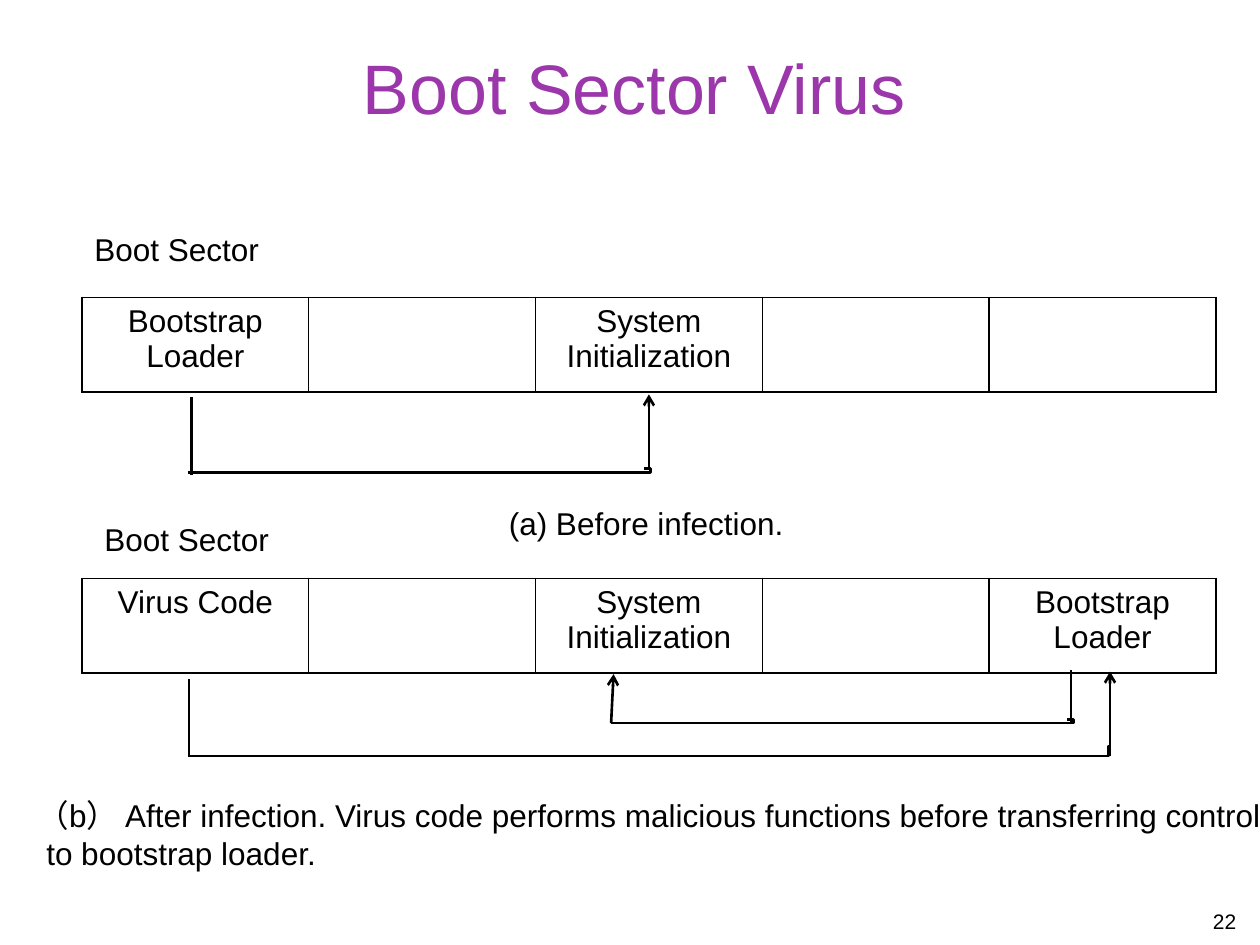
"""Build the Boot Sector Virus slide."""
from dataclasses import dataclass

from pptx import Presentation
from pptx.dml.color import RGBColor
from pptx.enum.shapes import MSO_CONNECTOR as Conn
from pptx.enum.text import MSO_ANCHOR as Anchor, PP_ALIGN as Align
from pptx.oxml import parse_xml
from pptx.oxml.ns import nsdecls, qn
from pptx.util import Inches, Pt

COLORS = {"title": "9B37AA", "ink": "000000"}
FONT = "Arial"
GRID_COLS, GRID_ROWS = 100, 75
SLIDE_W, SLIDE_H = Inches(10), Inches(7.5)


@dataclass
class Label:
    """A text box placed on the slide grid."""
    text: str
    col: float
    row: float
    width: float
    height: float = 4
    size: int = 18
    color: str = "ink"
    align: Align = Align.LEFT
    anchor: Anchor = Anchor.TOP
    wrap: bool = True


@dataclass
class SectorRow:
    """A row of disk sectors."""
    row: float
    cells: tuple[str, ...]


@dataclass
class Link:
    """A connector; bend is the elbow position as a share of its width."""
    col1: float
    row1: float
    col2: float
    row2: float
    bend: float | None = None
    arrow: bool = False


LABELS = [
    Label("Boot Sector Virus", 3.5, 2.1, 93.7, 9.5, size=40, color="title",
          align=Align.CENTER, anchor=Anchor.MIDDLE),
    Label("22", 75.8, 71.6, 23.3, 2.7, size=12, align=Align.RIGHT),
    Label("Boot Sector", 6.5, 17.8, 15.2, wrap=False),
    Label("Boot Sector", 7.3, 40.8, 15.2, wrap=False),
    Label("(a) Before infection.", 39.4, 39.5, 24, wrap=False),
    Label("（b） After infection. Virus code performs malicious functions "
          "before transferring control\n to bootstrap loader.",
          2, 62.7, 100, 7.1),
]
SECTOR_ROWS = [
    SectorRow(23.6, ("Bootstrap Loader", "", "System Initialization", "", "")),
    SectorRow(45.9, ("Virus Code", "", "System Initialization", "", "Bootstrap Loader")),
]
LINKS = [
    Link(14.9, 60, 88.1, 59.2, bend=0.998),
    Link(15, 53.9, 15, 60),
    Link(88.1, 60, 88.1, 53.3, arrow=True),
    Link(14.9, 37.5, 51.1, 37.2, bend=1.014),
    Link(15.2, 31.5, 15.2, 37.7),
    Link(51.5, 37.1, 51.5, 31.3, arrow=True),
    Link(48.5, 57.4, 84.7, 57.1, bend=1.014),
    Link(48.5, 57.4, 48.7, 53.5, arrow=True),
    Link(85, 53.2, 85, 57.4),
]


def x(cols: float) -> int:
    """Turn grid columns into a length."""
    return round(SLIDE_W * cols / GRID_COLS)


def y(rows: float) -> int:
    """Turn grid rows into a length."""
    return round(SLIDE_H * rows / GRID_ROWS)


def write(tf, text: str, *, size: int = 18, color: str = "ink",
          align: Align = Align.LEFT) -> None:
    """Write text into a frame, one paragraph a line."""
    for i, line in enumerate(text.split("\n")):
        p = tf.add_paragraph() if i else tf.paragraphs[0]
        p.alignment = align
        r = p.add_run()
        r.text = line
        r.font.name, r.font.size, r.font.bold = FONT, Pt(size), False
        r.font.color.rgb = RGBColor.from_string(COLORS[color])


def add_label(s, label: Label) -> None:
    """Draw a text box."""
    sp = s.shapes.add_textbox(x(label.col), y(label.row), x(label.width), y(label.height))
    tf = sp.text_frame
    tf.word_wrap = label.wrap
    tf.vertical_anchor = label.anchor
    write(tf, label.text, size=label.size, color=label.color, align=label.align)


def add_sectors(s, sectors: SectorRow) -> None:
    """Draw a one-row table with thin borders."""
    count = len(sectors.cells)
    table = s.shapes.add_table(1, count, x(6.5), y(sectors.row), x(90), y(7.5)).table
    table.first_row = table.horz_banding = False
    for cell, text in zip(table.iter_cells(), sectors.cells):
        if text:
            write(cell.text_frame, text, align=Align.CENTER)
        props = cell._tc.get_or_add_tcPr()
        for side in "LRTB":
            props.append(parse_xml(
                f'<a:ln{side} {nsdecls("a")} w="{Pt(1)}"><a:solidFill>'
                f'<a:srgbClr val="{COLORS["ink"]}"/></a:solidFill></a:ln{side}>'))
        cell.fill.background()


def add_link(s, link: Link) -> None:
    """Draw a straight or elbow connector."""
    kind = Conn.STRAIGHT if link.bend is None else Conn.ELBOW
    sp = s.shapes.add_connector(kind, x(link.col1), y(link.row1), x(link.col2), y(link.row2))
    sp.line.width = Pt(1.5)
    sp.line.color.rgb = RGBColor.from_string(COLORS["ink"])
    props = sp._element.spPr
    if link.bend is not None:
        guides = props.find(qn("a:prstGeom")).get_or_add_avLst()
        guides.append(parse_xml(
            f'<a:gd {nsdecls("a")} name="adj1" fmla="val {round(link.bend * 100000)}"/>'))
    if link.arrow:
        sp.line._get_or_add_ln().append(
            parse_xml(f'<a:tailEnd {nsdecls("a")} type="arrow"/>'))
    props.append(parse_xml(f'<a:effectLst {nsdecls("a")}/>'))


def main() -> None:
    """Build and save the slide."""
    prs = Presentation()
    prs.slide_width, prs.slide_height = SLIDE_W, SLIDE_H
    s = prs.slides.add_slide(prs.slide_layouts[6])
    for sectors in SECTOR_ROWS:
        add_sectors(s, sectors)
    for link in LINKS:
        add_link(s, link)
    for label in LABELS:
        add_label(s, label)
    prs.save("out.pptx")


main()
